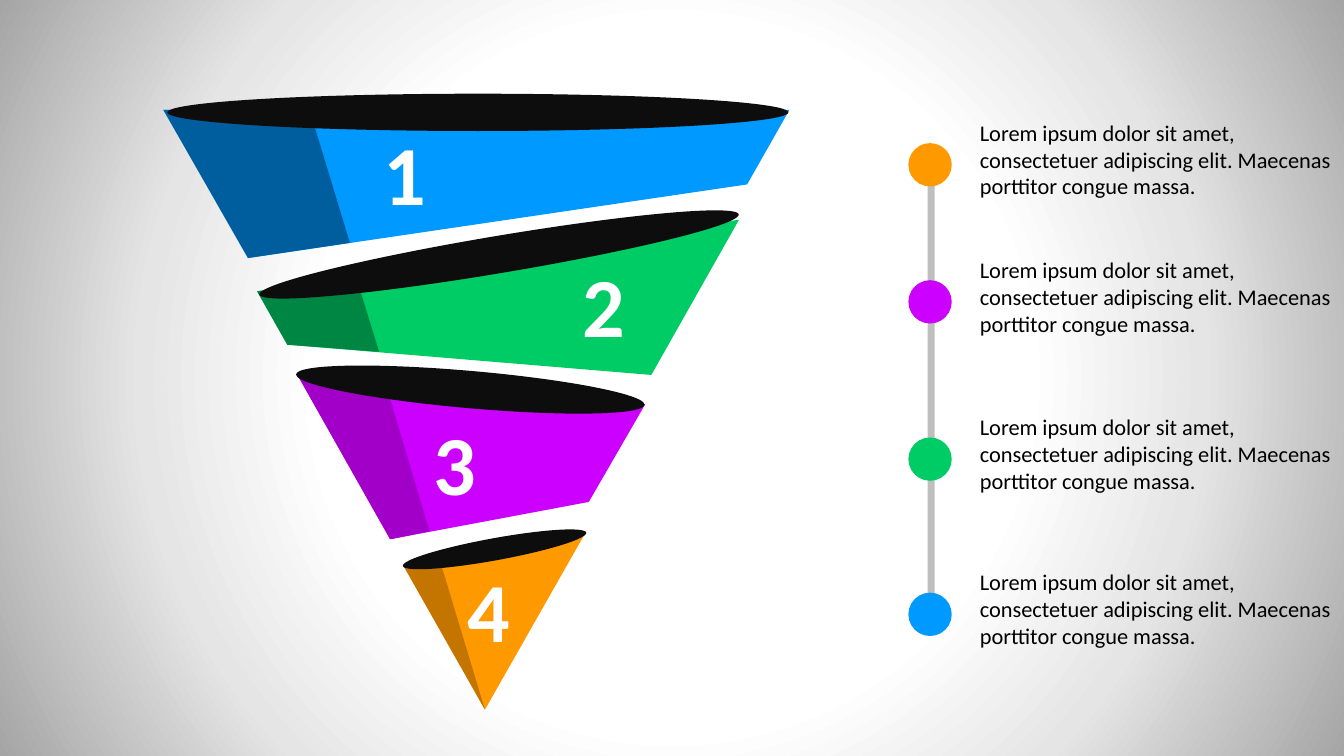
from pptx import Presentation
from pptx import util as u
from pptx.dml.color import RGBColor
from pptx.enum import shapes, text
from pptx.oxml import parse_xml
from pptx.oxml.ns import nsdecls


def colour(hex_string):
    return RGBColor.from_string(hex_string)


class FunnelSlide:
    font = "Calibri"
    cell = u.Inches(0.1)

    def __init__(self, presentation):
        self.slide = presentation.slides.add_slide(presentation.slide_layouts[6])

    def grid(self, *cells):
        return [round(cells_count * self.cell) for cells_count in cells]

    def background(self, stops):
        stop_xml = "".join(
            f'<a:gs pos="{percent * 1000}"><a:srgbClr val="{shade}"/></a:gs>'
            for percent, shade in stops
        )
        background = parse_xml(
            f'<p:bg {nsdecls("p", "a")}><p:bgPr><a:gradFill rotWithShape="1">'
            f'<a:gsLst>{stop_xml}</a:gsLst><a:path path="circle">'
            '<a:fillToRect l="50000" t="50000" r="50000" b="50000"/></a:path>'
            '</a:gradFill><a:effectLst/></p:bgPr></p:bg>'
        )
        self.slide.element.cSld.insert(0, background)

    def paint(self, shape, fill):
        shape.shadow.inherit = False
        shape.fill.solid()
        shape.fill.fore_color.rgb = colour(fill)
        shape.line.fill.background()

    def preset(self, kind, column, row, columns, rows, fill, rotation=0):
        shape = self.slide.shapes.add_shape(
            kind, *self.grid(column, row, columns, rows)
        )
        shape.rotation = rotation
        self.paint(shape, fill)

    def rectangle(self, *place, fill):
        self.preset(shapes.MSO_SHAPE.RECTANGLE, *place, fill)

    def ellipse(self, *place, fill, rotation=0):
        self.preset(shapes.MSO_SHAPE.OVAL, *place, fill, rotation)

    def polygon(self, corners, fill):
        points = [self.grid(*corner) for corner in corners]
        builder = self.slide.shapes.build_freeform(*points[0])
        builder.add_line_segments(points[1:], close=True)
        self.paint(builder.convert_to_shape(), fill)

    def label(self, words, column, row, columns, rows, size, fill, bold=False, wrap=True):
        box = self.slide.shapes.add_textbox(*self.grid(column, row, columns, rows))
        frame = box.text_frame
        frame.word_wrap = wrap
        frame.auto_size = text.MSO_AUTO_SIZE.SHAPE_TO_FIT_TEXT
        run = frame.paragraphs[0].add_run()
        run.text = words
        run.font.name = self.font
        run.font.size = u.Pt(size)
        run.font.bold = bold
        run.font.color.rgb = colour(fill)


BLUE, GREEN, PURPLE, ORANGE = "0099FF", "00CC66", "CC00FF", "FF9900"
BLACK, WHITE, GREY, RIM = "000000", "FFFFFF", "BFBFBF", "0D0D0D"
DESCRIPTION = (
    "Lorem ipsum dolor sit amet, consectetuer adipiscing elit. "
    "Maecenas porttitor congue massa."
)

BACKGROUND_STOPS = [(0, WHITE), (46, WHITE), (69, "E5E5E5"), (100, "A5A5A5")]
BAR_ROWS = [45.3, 29.4, 15.2]
LEVELS = [
    (BLUE, [(24.6, 25.6), (74.1, 18.3), (78.3, 10.9), (16.2, 10.9)],
     "005E9E", [(24.6, 25.6), (34.7, 24.1), (30.7, 10.9), (16.2, 10.9)],
     (37.1, 11.6)),
    (GREEN, [(64.6, 37.2), (73.3, 21.8), (25.5, 28.9), (28.5, 34.2)],
     "008643", [(37.6, 34.9), (35.3, 27.4), (25.5, 28.9), (28.5, 34.2)],
     (56.8, 24.7)),
    (PURPLE, [(38.7, 53.5), (58.4, 49.8), (64, 40.1), (29.5, 37.2)],
     "A200C8", [(38.7, 53.5), (42.6, 52.7), (38.2, 37.9), (29.5, 37.2)],
     (42, 40.3)),
    (ORANGE, [(48.1, 70.4), (58.1, 52.8), (40, 56.1)],
     "C47500", [(48.1, 70.4), (43.6, 55.5), (40, 56.1)],
     (45.4, 54.9)),
]
LEGEND = [(BLUE, 58.8), (GREEN, 43.4), (PURPLE, 27.8), (ORANGE, 14.2)]
RIMS = [
    (16.6, 9.3, 61.6, 3.7, 0),
    (39.8, 53.4, 18.5, 2.2, 349.7),
    (25.4, 23.4, 48.2, 3.7, 350.5),
    (29.3, 36.8, 34.7, 3.7, 5),
]


def main():
    presentation = Presentation()
    presentation.slide_width = u.Inches(13.33)
    presentation.slide_height = u.Inches(7.5)
    funnel = FunnelSlide(presentation)
    funnel.background(BACKGROUND_STOPS)

    for row in BAR_ROWS:
        funnel.rectangle(92, row, 0.7, 16.7, fill=GREY)
    for number, (front, outline, shade, side, place) in enumerate(LEVELS, 1):
        funnel.polygon(outline, front)
        funnel.polygon(side, shade)
        funnel.label(str(number), *place, 6.3, 11.1, 60, WHITE, bold=True, wrap=False)
    for dot, row in LEGEND:
        funnel.ellipse(90.1, row, 4.3, 4.3, fill=dot)
        funnel.label(DESCRIPTION, 96.2, row - 2.9, 38.9, 9.1, 16, BLACK)
    for *place, rotation in RIMS:
        funnel.ellipse(*place, fill=RIM, rotation=rotation)

    presentation.save("out.pptx")


if __name__ == "__main__":
    main()
